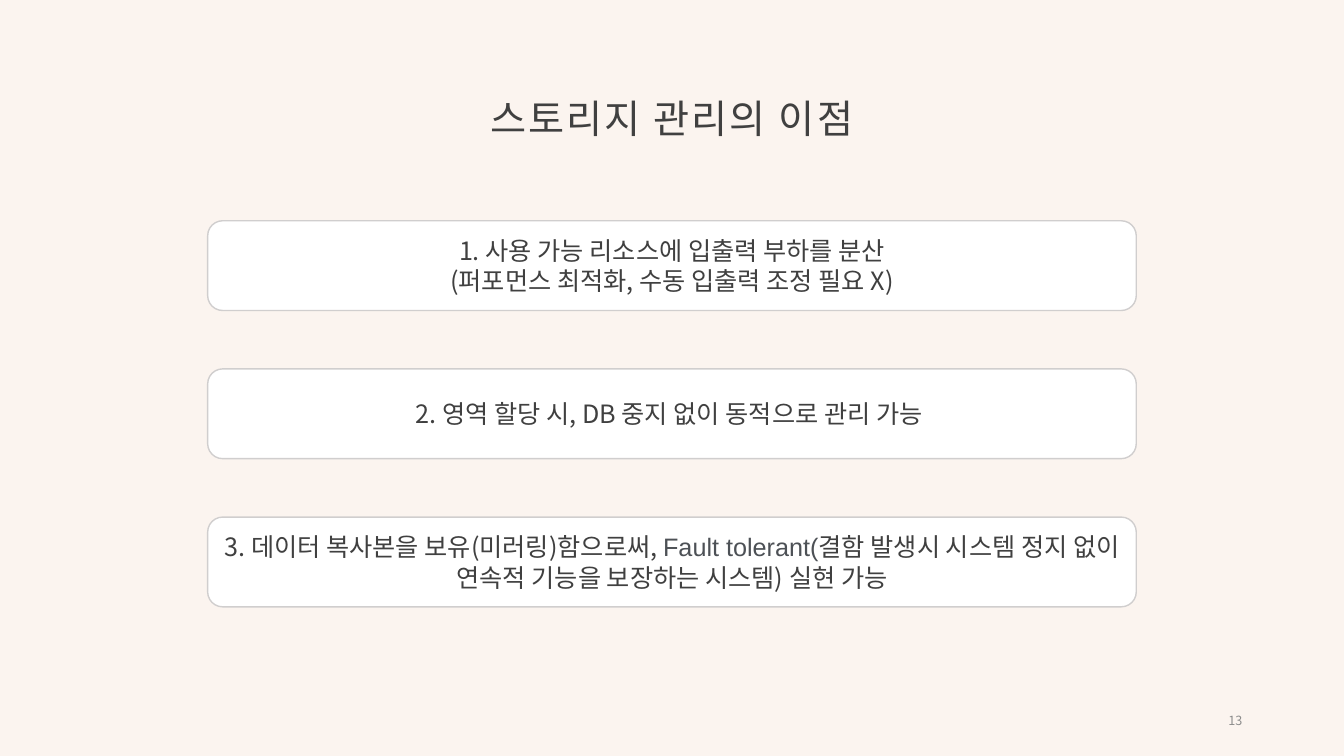
"""Build the slide on the benefits of a storage manager."""
import pptx
import pptx.dml.color
import pptx.enum.shapes
import pptx.enum.text
import pptx.oxml.ns
import pptx.util
from lxml import etree

Inches = pptx.util.Inches
RGBColor = pptx.dml.color.RGBColor
ALIGN = pptx.enum.text.PP_ALIGN

CREAM = RGBColor(0xFB, 0xF4, 0xEF)
WHITE = RGBColor(0xFF, 0xFF, 0xFF)
BORDER = RGBColor(0xD0, 0xCE, 0xCE)
DARK = RGBColor(0x40, 0x40, 0x40)
SLATE = RGBColor(0x4D, 0x51, 0x56)
GREY = RGBColor(0x8C, 0x8C, 0x8C)
KOREAN = "Noto Sans CJK KR"


def set_font(font, size, color=DARK, name=KOREAN):
    font.size = pptx.util.Pt(size)
    font.color.rgb = color
    font.name = name
    ea = etree.SubElement(font._rPr, pptx.oxml.ns.qn("a:ea"))
    ea.set("typeface", name)


def add_label(slide, box, text, align, size, color):
    tf = slide.shapes.add_textbox(*[Inches(v) for v in box]).text_frame
    tf.word_wrap = True
    tf.vertical_anchor = pptx.enum.text.MSO_ANCHOR.MIDDLE
    p = tf.paragraphs[0]
    p.text = text
    p.alignment = align
    set_font(p.font, size, color)
    return p


prs = pptx.Presentation()
prs.slide_width, prs.slide_height = Inches(13.33), Inches(7.5)
s = prs.slides.add_slide(prs.slide_layouts[6])
s.background.fill.solid()
s.background.fill.fore_color.rgb = CREAM

add_label(s, (9.42, 6.95, 3, 0.4), "13", ALIGN.RIGHT, 9, GREY)
title = add_label(s, (2.06, 0.47, 9.21, 1.45), "스토리지 관리의 이점", ALIGN.CENTER, 28, DARK)
title.line_spacing = 0.9
title.font._rPr.set("spc", "150")

benefits = [
    [["1. 사용 가능 리소스에 입출력 부하를 분산"],
     ["(퍼포먼스 최적화, 수동 입출력 조정 필요 X)"]],
    [["2. 영역 할당 시, DB 중지 없이 동적으로 관리 가능 "]],
    [["3. 데이터 복사본을 보유(미러링)함으로써, ", "Fault tolerant(",
      "결함 발생시 시스템 정지 없이 연속적 기능을 보장하는 시스템) 실현 가능"]],
]
for i, paragraphs in enumerate(benefits):
    sp = s.shapes.add_shape(
        pptx.enum.shapes.MSO_SHAPE.ROUNDED_RECTANGLE,
        Inches(2.06), Inches(2.19 + 1.47 * i), Inches(9.21), Inches(0.89))
    sp.shadow.inherit = False
    sp.fill.solid()
    sp.fill.fore_color.rgb = WHITE
    sp.line.color.rgb = BORDER
    sp.line.width = pptx.util.Pt(1)
    tf = sp.text_frame
    tf.word_wrap = True
    tf.vertical_anchor = pptx.enum.text.MSO_ANCHOR.MIDDLE
    for j, runs in enumerate(paragraphs):
        p = tf.add_paragraph() if j else tf.paragraphs[0]
        p.alignment = ALIGN.CENTER
        set_font(p.font, 18)
        for text in runs:
            r = p.add_run()
            r.text = text
            if text.startswith("Fault"):
                set_font(r.font, 18, SLATE, "Arial")

prs.save("out.pptx")
